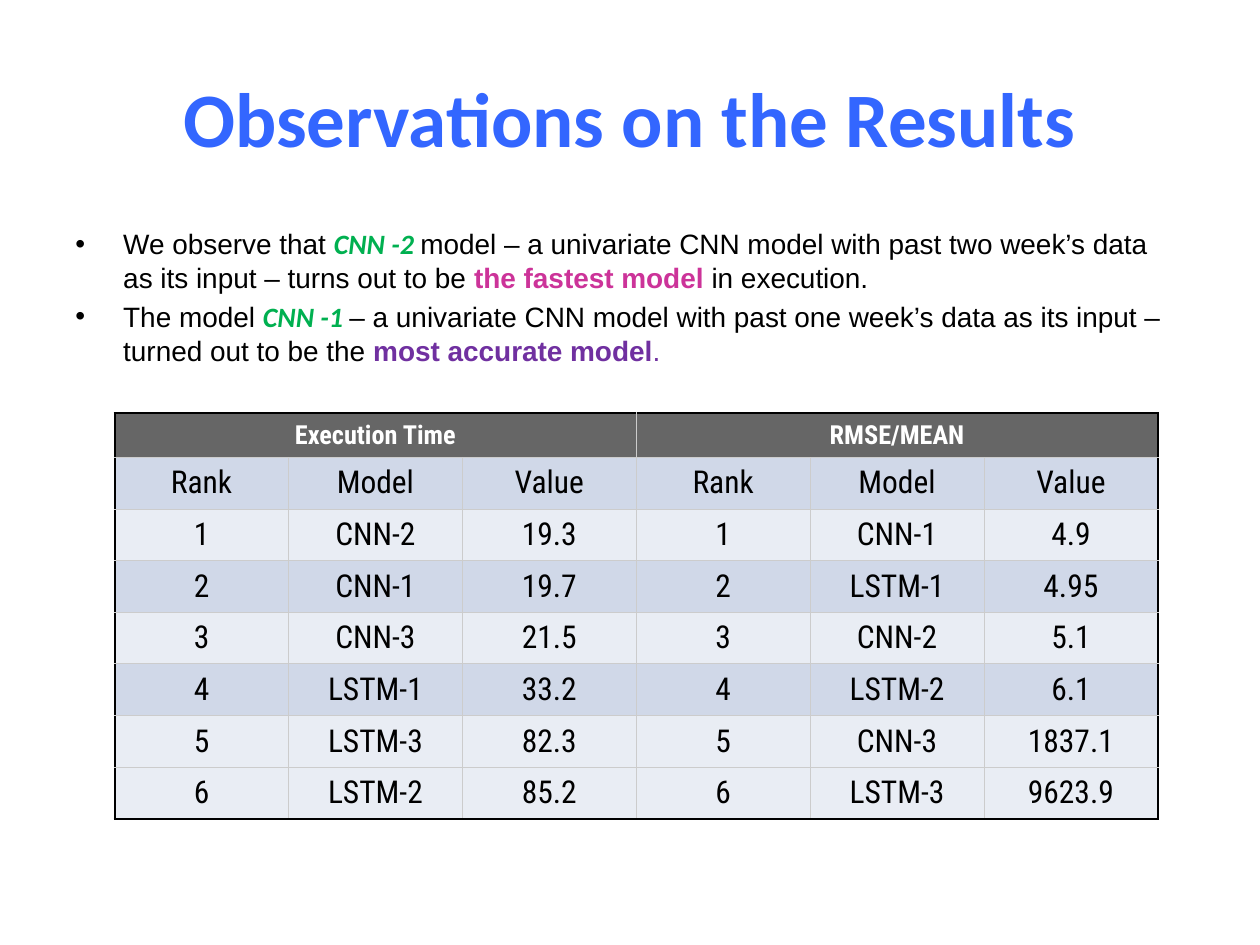
from dataclasses import dataclass

from lxml.etree import SubElement
from pptx import Presentation
from pptx.dml.color import RGBColor
from pptx.enum.text import MSO_ANCHOR, PP_ALIGN
from pptx.oxml.ns import qn
from pptx.util import Inches, Pt


@dataclass(frozen=True)
class Theme:
    """Colours, fonts and type sizes of the slide."""
    title: str = "3366FF"
    text: str = "000000"
    model: str = "00B050"
    fastest: str = "CC3399"
    accurate: str = "7030A0"
    header_text: str = "FFFFFF"
    header_fill: str = "666666"
    dark_band: str = "D0D8E8"
    light_band: str = "E9EDF4"
    grid: str = "CCCCCC"
    frame: str = "000000"
    heading_font: str = "Calibri"
    body_font: str = "Arial"
    table_font: str = "Roboto Condensed"
    title_size: int = 44
    body_size: int = 16
    header_size: int = 15
    cell_size: int = 18
    grid_width: float = 0.6
    frame_width: float = 1.2


THEME = Theme()

OBSERVATIONS = [
    [("We observe that ", "plain"), ("CNN -2 ", "model"),
     ("model – a univariate CNN model with past two week’s data as its input – turns out to be ", "plain"),
     ("the fastest model ", "fastest"), ("in execution.", "plain")],
    [("The model ", "plain"), ("CNN -1 ", "model"),
     ("– a univariate CNN model with past one week’s data as its input – turned out to be the ", "plain"),
     ("most accurate model", "accurate"), (".", "stop")],
]

SPAN_STYLES = {
    "plain": (THEME.body_font, THEME.text, False, False),
    "model": (THEME.heading_font, THEME.model, True, True),
    "fastest": (THEME.body_font, THEME.fastest, True, False),
    "accurate": (THEME.body_font, THEME.accurate, True, False),
    "stop": (THEME.body_font, THEME.accurate, False, False),
}

GROUPS = ["Execution Time", "RMSE/MEAN"]
GROUP_SIZE = 3
RESULTS = [
    ["Rank", "Model", "Value"] * len(GROUPS),
    ["1", "CNN-2", "19.3", "1", "CNN-1", "4.9"],
    ["2", "CNN-1", "19.7", "2", "LSTM-1", "4.95"],
    ["3", "CNN-3", "21.5", "3", "CNN-2", "5.1"],
    ["4", "LSTM-1", "33.2", "4", "LSTM-2", "6.1"],
    ["5", "LSTM-3", "82.3", "5", "CNN-3", "1837.1"],
    ["6", "LSTM-2", "85.2", "6", "LSTM-3", "9623.9"],
]


def style_font(font, name, color, bold=False, italic=False, size=None):
    """Set typeface, colour, weight, slant and optional size."""
    font.name, font.bold, font.italic = name, bold, italic
    font.color.rgb = RGBColor.from_string(color)
    if size:
        font.size = Pt(size)


def add_text_box(slide, left, top, width, height):
    """Add a wrapping text box and return its text frame."""
    box = slide.shapes.add_textbox(Inches(left), Inches(top), Inches(width), Inches(height))
    box.text_frame.word_wrap = True
    return box.text_frame


def add_title(slide, text):
    """Add the centred slide title."""
    frame = add_text_box(slide, 0.5, 0.3, 9, 1.25)
    frame.vertical_anchor = MSO_ANCHOR.MIDDLE
    para = frame.paragraphs[0]
    para.text, para.alignment = text, PP_ALIGN.CENTER
    style_font(para.font, THEME.heading_font, THEME.title, bold=True, size=THEME.title_size)


def set_bullet(para, indent):
    """Give a paragraph a round bullet with a hanging indent."""
    properties = para._p.get_or_add_pPr()
    properties.set("marL", str(Inches(indent)))
    properties.set("indent", str(-Inches(indent)))
    SubElement(properties, qn("a:buFont"), typeface=THEME.body_font)
    SubElement(properties, qn("a:buChar"), char="•")


def add_observations(slide, observations):
    """Add the bulleted list with its highlighted words."""
    frame = add_text_box(slide, 0.5, 1.75, 9, 4.95)
    for index, pieces in enumerate(observations):
        para = frame.add_paragraph() if index else frame.paragraphs[0]
        para.space_before = Pt(3.2)
        para.font.size = Pt(THEME.body_size)
        set_bullet(para, 0.38)
        for text, style in pieces:
            span = para.add_run()
            span.text = text
            style_font(span.font, *SPAN_STYLES[style], size=THEME.body_size)


def set_borders(cell, framed_sides):
    """Draw the frame on the outer sides of a cell and the grid on the others."""
    properties = cell._tc.get_or_add_tcPr()
    for side in "LRTB":
        framed = side in framed_sides
        width = THEME.frame_width if framed else THEME.grid_width
        line = SubElement(properties, qn(f"a:ln{side}"), w=str(Pt(width)))
        fill = SubElement(line, qn("a:solidFill"))
        SubElement(fill, qn("a:srgbClr"), val=THEME.frame if framed else THEME.grid)


def style_cell(cell, fill, framed_sides):
    """Set the margins, borders and fill of a cell."""
    cell.margin_left = cell.margin_right = Inches(0.03)
    cell.margin_top = cell.margin_bottom = Inches(0.02)
    cell.vertical_anchor = MSO_ANCHOR.MIDDLE
    set_borders(cell, framed_sides)
    cell.fill.solid()
    cell.fill.fore_color.rgb = RGBColor.from_string(fill)


def write_cell(cell, text, color, size, bold=False):
    """Write centred text into a cell."""
    para = cell.text_frame.paragraphs[0]
    para.text, para.alignment = text, PP_ALIGN.CENTER
    style_font(para.font, THEME.table_font, color, bold=bold, size=size)


def row_fill(row, last_row):
    """Return the fill colour of a table row."""
    if row == 0:
        return THEME.header_fill
    return THEME.dark_band if row % 2 and row != last_row else THEME.light_band


def add_results_table(slide, groups, results):
    """Add the ranking table with one merged header for each group."""
    row_count, column_count = len(results) + 1, len(results[0])
    last_row, last_column = row_count - 1, column_count - 1
    table = slide.shapes.add_table(row_count, column_count, Inches(0.91), Inches(3.28),
                                   Inches(8.27), Inches(3.23)).table
    table.first_row = table.horz_banding = False
    for column in table.columns:
        column.width = Inches(1.38)
    for row, line in enumerate(table.rows):
        line.height = Inches(0.41 if row else 0.35)
        for column, cell in enumerate(line.cells):
            reach = column if row else column + GROUP_SIZE - 1
            edges = {"L": column == 0, "R": reach >= last_column,
                     "T": row == 0, "B": row == last_row}
            style_cell(cell, row_fill(row, last_row), [side for side in edges if edges[side]])
            if row:
                write_cell(cell, results[row - 1][column], THEME.text, THEME.cell_size)
    for index, group in enumerate(groups):
        first = index * GROUP_SIZE
        header = table.cell(0, first)
        header.merge(table.cell(0, first + GROUP_SIZE - 1))
        write_cell(header, group, THEME.header_text, THEME.header_size, bold=True)


def main():
    """Build the slide and save the deck."""
    deck = Presentation()
    deck.slide_width, deck.slide_height = Inches(10), Inches(7.5)
    page = deck.slides.add_slide(deck.slide_layouts[6])
    add_title(page, "Observations on the Results")
    add_observations(page, OBSERVATIONS)
    add_results_table(page, GROUPS, RESULTS)
    deck.save("out.pptx")


if __name__ == "__main__":
    main()
